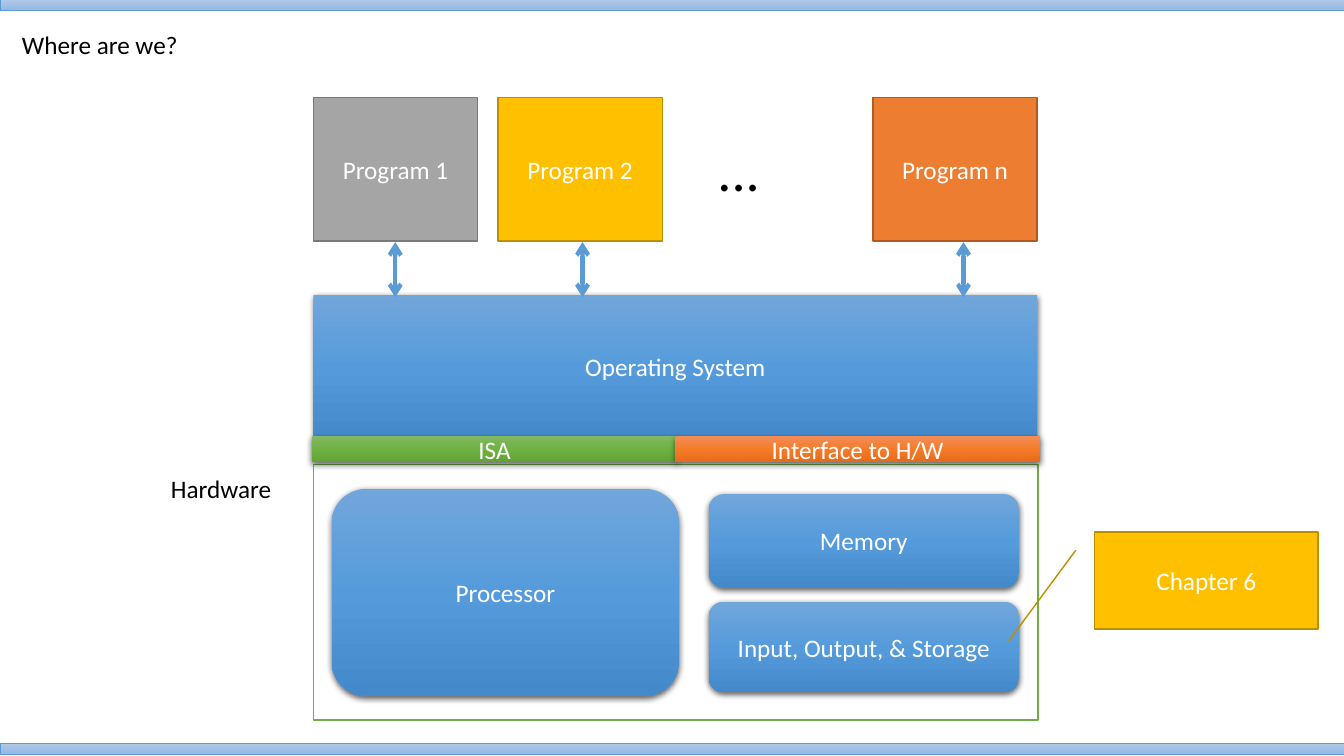
from copy import deepcopy
from lxml import etree
from pptx import Presentation
from pptx.dml.color import RGBColor
from pptx.enum.shapes import MSO_CONNECTOR, MSO_SHAPE
from pptx.enum.text import MSO_ANCHOR, PP_ALIGN
from pptx.oxml.ns import qn
from pptx.util import Cm, Pt

RECT = MSO_SHAPE.RECTANGLE
ROUND = MSO_SHAPE.ROUNDED_RECTANGLE
CALL = MSO_SHAPE.LINE_CALLOUT_1
LINE = MSO_CONNECTOR.STRAIGHT
MID, TOP = MSO_ANCHOR.MIDDLE, MSO_ANCHOR.TOP
MIDDLE, LEFT = PP_ALIGN.CENTER, PP_ALIGN.LEFT

HUES = {
    "black": "000000", "white": "FFFFFF", "blue": "5B9BD5",
    "gray": "A5A5A5", "gray rim": "7A7A7A",
    "gold": "FFC000", "gold rim": "BD8E00",
    "rust": "ED7D31", "rust rim": "AF5C24", "green": "70AD47",
}
FADES = {
    "pale": ["B1CBE9", "A3C1E5", "93B9E4"],
    "blue": ["71A6DB", "559BDB", "448ACA"],
    "green": ["81B861", "6FB242", "62A336"],
    "rust": ["F18C57", "F67B28", "E56C19"],
}


def write(shape, text, hue, size=18, align=LEFT, anchor=TOP):
    frame = shape.text_frame
    frame.word_wrap = True
    frame.vertical_anchor = anchor
    para = frame.paragraphs[0]
    para.alignment = align
    run = para.add_run()
    run.text = text
    run.font.name = "Calibri"
    run.font.size = Pt(size)
    run.font.color.rgb = RGBColor.from_string(HUES[hue])


def block(kind, spot, text="", fill=None, rim=None, fade=None, width=1):
    shape = slide.shapes.add_shape(kind, *map(Cm, spot))
    shape.shadow.inherit = False
    props = shape._element.spPr
    if fade:
        shape.fill.gradient()
        shape.fill.gradient_angle = 270
        stops = props.find(".//" + qn("a:gsLst"))
        stops.append(deepcopy(stops[0]))
        for stop, hue, place in zip(shape.fill.gradient_stops, FADES[fade], (0, 0.5, 1)):
            stop.color.rgb = RGBColor.from_string(hue)
            stop.position = place
    else:
        shape.fill.solid()
        shape.fill.fore_color.rgb = RGBColor.from_string(HUES[fill])
    if rim:
        shape.line.color.rgb = RGBColor.from_string(HUES[rim])
        shape.line.width = Pt(width)
    else:
        shape.line.fill.background()
        glow = etree.SubElement(props.find(qn("a:effectLst")), qn("a:outerShdw"),
                                blurRad="57150", dist="19050", dir="5400000",
                                algn="ctr", rotWithShape="0")
        tint = etree.SubElement(glow, qn("a:srgbClr"), val=HUES["black"])
        etree.SubElement(tint, qn("a:alpha"), val="63000")
    if text:
        write(shape, text, "white", align=MIDDLE, anchor=MID)


deck = Presentation()
deck.slide_width, deck.slide_height = Cm(33.87), Cm(19.05)
slide = deck.slides.add_slide(deck.slide_layouts[5])

for y in (-0.02, 18.72):
    block(RECT, (0, y, 33.87, 0.28), fade="pale", rim="blue", width=0.5)

title = slide.shapes.title
title.left, title.top, title.width, title.height = map(Cm, (0.3, 0.61, 31.19, 1.07))
write(title, "Where are we?", "black")

for x, text, hue in ((7.9, "Program 1", "gray"), (12.55, "Program 2", "gold"),
                     (22, "Program n", "rust")):
    block(RECT, (x, 2.46, 4.14, 3.61), text, fill=hue, rim=hue + " rim")

block(RECT, (7.9, 7.44, 18.24, 3.61), "Operating System", fade="blue")

for x in (9.96, 14.68, 24.28):
    arrow = slide.shapes.add_connector(LINE, Cm(x), Cm(6.1), Cm(x), Cm(7.49))
    arrow.line.color.rgb = RGBColor.from_string(HUES["blue"])
    arrow.line.width = Pt(3)
    for end in ("a:headEnd", "a:tailEnd"):
        etree.SubElement(arrow.line._get_or_add_ln(), qn(end), type="arrow")
    etree.SubElement(arrow._element.spPr, qn("a:effectLst"))

block(RECT, (7.9, 11.71, 18.26, 6.43), fill="white", rim="green")

for spot, text, size in (((17.83, 3.28, 3.68, 2.06), "...", 40),
                         ((4.06, 11.81, 3.53, 1.07), "Hardware", 18)):
    write(slide.shapes.add_textbox(*map(Cm, spot)), text, "black", size)

for spot, text in (((8.36, 12.32, 8.76, 5.21), "Processor"),
                   ((17.86, 12.45, 7.82, 2.36), "Memory"),
                   ((17.86, 15.16, 7.82, 2.29), "Input, Output, & Storage")):
    block(ROUND, spot, text, fade="blue")

block(CALL, (27.58, 13.41, 5.64, 2.44), "Chapter 6", fill="gold", rim="gold rim")

for x, text, fade in ((7.87, "ISA", "green"), (17.02, "Interface to H/W", "rust")):
    block(RECT, (x, 11, 9.19, 0.64), text, fade=fade)

deck.save("out.pptx")
